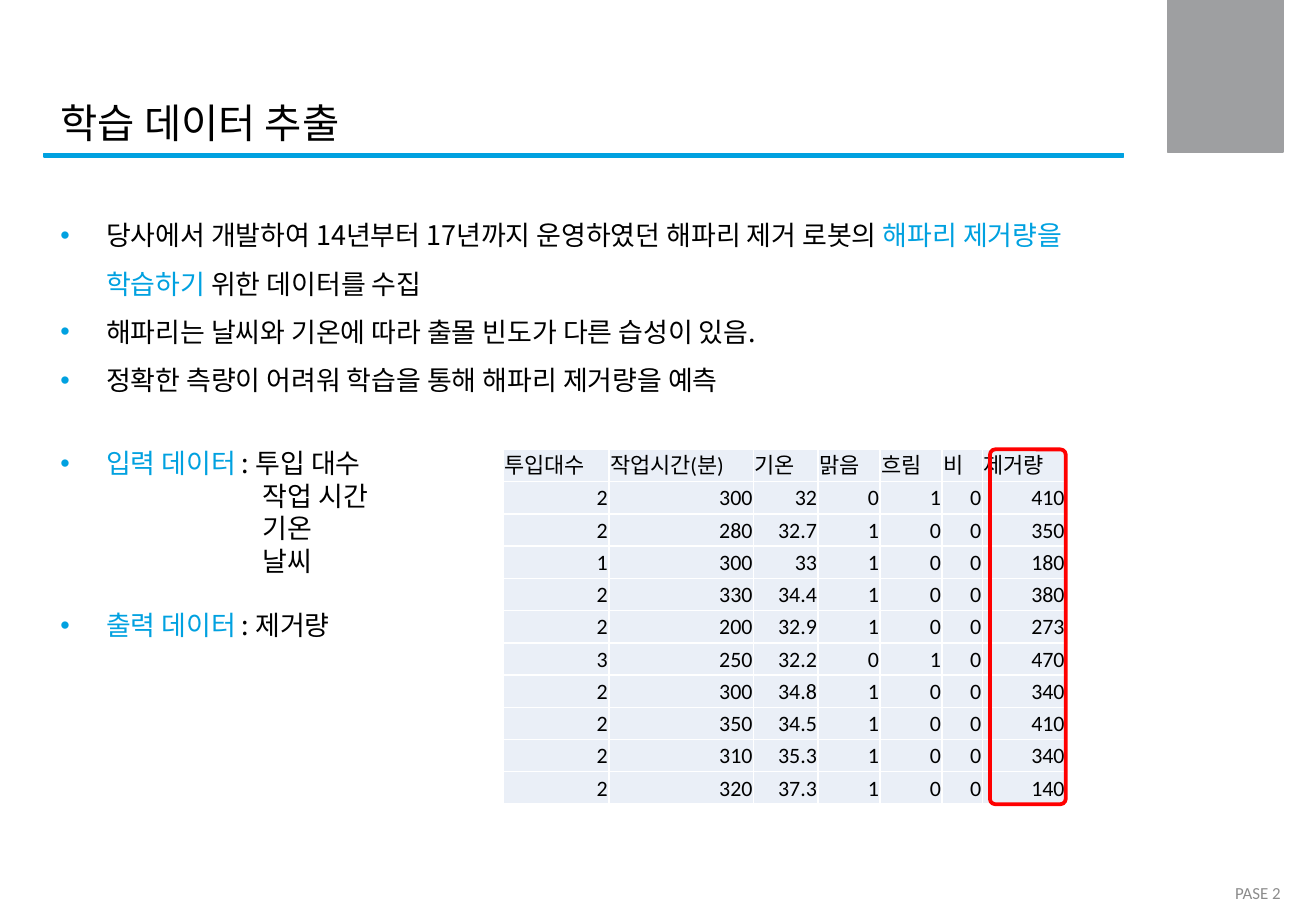
from lxml import etree
from pptx import Presentation
from pptx import util as u
from pptx.dml import color
from pptx.enum import shapes, text
from pptx.oxml import ns

Pt = u.Pt
KOREAN, LATIN = "Noto Sans CJK KR", "Calibri"
BLACK, BLUE, GRAY, RED = "000000", "00A1E0", "9E9FA1", "FF0000"
PALE, WHITE, FOOTER = "EAEFF7", "FFFFFF", "8C8C8C"
LEFT, RIGHT = text.PP_ALIGN.LEFT, text.PP_ALIGN.RIGHT

HEADERS = ["투입대수", "작업시간(분)", "기온", "맑음", "흐림", "비", "제거량"]
RECORDS = [
    [2, 300, 32, 0, 1, 0, 410],
    [2, 280, 32.7, 1, 0, 0, 350],
    [1, 300, 33, 1, 0, 0, 180],
    [2, 330, 34.4, 1, 0, 0, 380],
    [2, 200, 32.9, 1, 0, 0, 273],
    [3, 250, 32.2, 0, 1, 0, 470],
    [2, 300, 34.8, 1, 0, 0, 340],
    [2, 350, 34.5, 1, 0, 0, 410],
    [2, 310, 35.3, 1, 0, 0, 340],
    [2, 320, 37.3, 1, 0, 0, 140],
]
COLUMN_WIDTHS = [62.6, 85.8, 38.2, 36.8, 36.8, 23.8, 49.4]
ROW_HEIGHT = 19.12
TABLE_LEFT, TABLE_TOP = 298.3, 266.4


def rgb(value):
    return color.RGBColor.from_string(value)


def child(parent, tag, **attributes):
    return etree.SubElement(parent, ns.qn(tag), attributes)


class Page:
    """Hold the text style and the slide that elements are drawn on."""

    def __init__(self, deck, font=KOREAN, size=16):
        self.slide = deck.slides.add_slide(deck.slide_layouts[6])
        self.font = font
        self.size = size

    def style(self, span, size, ink, font):
        span.font.size = Pt(size)
        span.font.name = font
        span.font.color.rgb = rgb(ink)
        child(span.font._element, "a:ea", typeface=KOREAN)

    def shape(self, kind, left, top, width, height, line, weight=1, fill=None):
        item = self.slide.shapes.add_shape(
            kind, Pt(left), Pt(top), Pt(width), Pt(height))
        item.shadow.inherit = False
        if fill:
            item.fill.solid()
            item.fill.fore_color.rgb = rgb(fill)
        else:
            item.fill.background()
        item.line.color.rgb = rgb(line)
        item.line.width = Pt(weight)
        return item

    def frame(self, left, top, width, height):
        box = self.slide.shapes.add_textbox(Pt(left), Pt(top), Pt(width), Pt(height))
        box.text_frame.word_wrap = True
        return box.text_frame

    def label(self, words, left, top, width, height, size, ink, font, leading,
              align=LEFT, anchor=text.MSO_ANCHOR.TOP):
        frame = self.frame(left, top, width, height)
        frame.vertical_anchor = anchor
        frame.text = words
        para = frame.paragraphs[0]
        para.alignment = align
        para.line_spacing = Pt(leading)
        self.style(para.runs[0], size, ink, font)

    def bullet(self, para):
        props = para._p.get_or_add_pPr()
        child(child(props, "a:buClr"), "a:srgbClr", val=BLUE)
        child(props, "a:buFont", typeface="Arial")
        child(props, "a:buChar", char="•")

    def outline(self, items, left, top, width, height, leading):
        frame = self.frame(left, top, width, height)
        for index, (spans, indent, gap) in enumerate(items):
            para = frame.add_paragraph() if index else frame.paragraphs[0]
            para.line_spacing = Pt(leading)
            para.space_before = Pt(gap)
            props = para._p.get_or_add_pPr()
            props.set("marL", str(Pt(indent or 27)))
            if not indent:
                props.set("indent", str(-Pt(27)))
                self.bullet(para)
            for words, ink in spans:
                span = para.add_run()
                span.text = words
                self.style(span, self.size, ink, self.font)

    def cell(self, cell, words, align):
        cell.margin_left = cell.margin_right = cell.margin_top = Pt(0.7)
        cell.margin_bottom = 0
        cell.vertical_anchor = text.MSO_ANCHOR.MIDDLE
        props = cell._tc.get_or_add_tcPr()
        for side in ("a:lnL", "a:lnR", "a:lnT", "a:lnB"):
            edge = child(props, side, w=str(Pt(1)))
            child(child(edge, "a:solidFill"), "a:srgbClr", val=WHITE)
        cell.fill.solid()
        cell.fill.fore_color.rgb = rgb(PALE)
        cell.text = words
        para = cell.text_frame.paragraphs[0]
        para.alignment = align
        para.line_spacing = Pt(16)
        self.style(para.runs[0], 13, BLACK, LATIN)

    def table(self, rows, left, top, widths, row_height):
        grid = self.slide.shapes.add_table(
            len(rows), len(widths), Pt(left), Pt(top),
            Pt(sum(widths)), Pt(row_height * len(rows))).table
        for column, width in zip(grid.columns, widths):
            column.width = Pt(width)
        for r, values in enumerate(rows):
            grid.rows[r].height = Pt(row_height)
            for c, value in enumerate(values):
                self.cell(grid.cell(r, c), str(value), RIGHT if r else LEFT)


def main():
    deck = Presentation()
    deck.slide_width, deck.slide_height = Pt(780), Pt(540)
    page = Page(deck)
    rows = [HEADERS] + RECORDS
    rectangle = shapes.MSO_SHAPE.RECTANGLE

    page.table(rows, TABLE_LEFT, TABLE_TOP, COLUMN_WIDTHS, ROW_HEIGHT)
    page.shape(rectangle, 692, 0, 68.4, 90, GRAY, fill=GRAY)
    page.shape(rectangle, 26, 91, 640, 2, BLUE, fill=BLUE)
    page.label("학습 데이터 추출", 28.8, 53.3, 545.8, 36, 24, BLACK, KOREAN, 30)
    page.label("PASE 2", 590.4, 514.8, 175.7, 28.8, 10, FOOTER, LATIN, 12,
               RIGHT, text.MSO_ANCHOR.MIDDLE)
    page.outline([
        ([("당사에서 개발하여 14년부터 17년까지 운영하였던 해파리 제거 로봇의 ", BLACK),
          ("해파리 제거량을 학습하기", BLUE), (" 위한 데이터를 수집", BLACK)], 0, 0),
        ([("해파리는 날씨와 기온에 따라 출몰 빈도가 다른 습성이 있음.", BLACK)], 0, 0),
        ([("정확한 측량이 어려워 학습을 통해 해파리 제거량을 예측", BLACK)], 0, 0),
    ], 28.8, 116.6, 640, 120.2, 28.7)
    highlight = page.shape(shapes.MSO_SHAPE.ROUNDED_RECTANGLE, 586.8, TABLE_TOP,
                           44.9, ROW_HEIGHT * len(rows), RED, 2.25)
    highlight.adjustments[0] = 0.07
    inputs = [([(words, BLACK)], 120, 0) for words in ("작업 시간", "기온", "날씨")]
    page.outline([
        ([("입력 데이터 ", BLUE), (": 투입 대수", BLACK)], 0, 0),
        *inputs,
        ([("출력 데이터 ", BLUE), (": 제거량", BLACK)], 0, 19.2),
    ], 28.8, 261.4, 326.2, 123.8, 19.2)
    deck.save("out.pptx")


if __name__ == "__main__":
    main()
